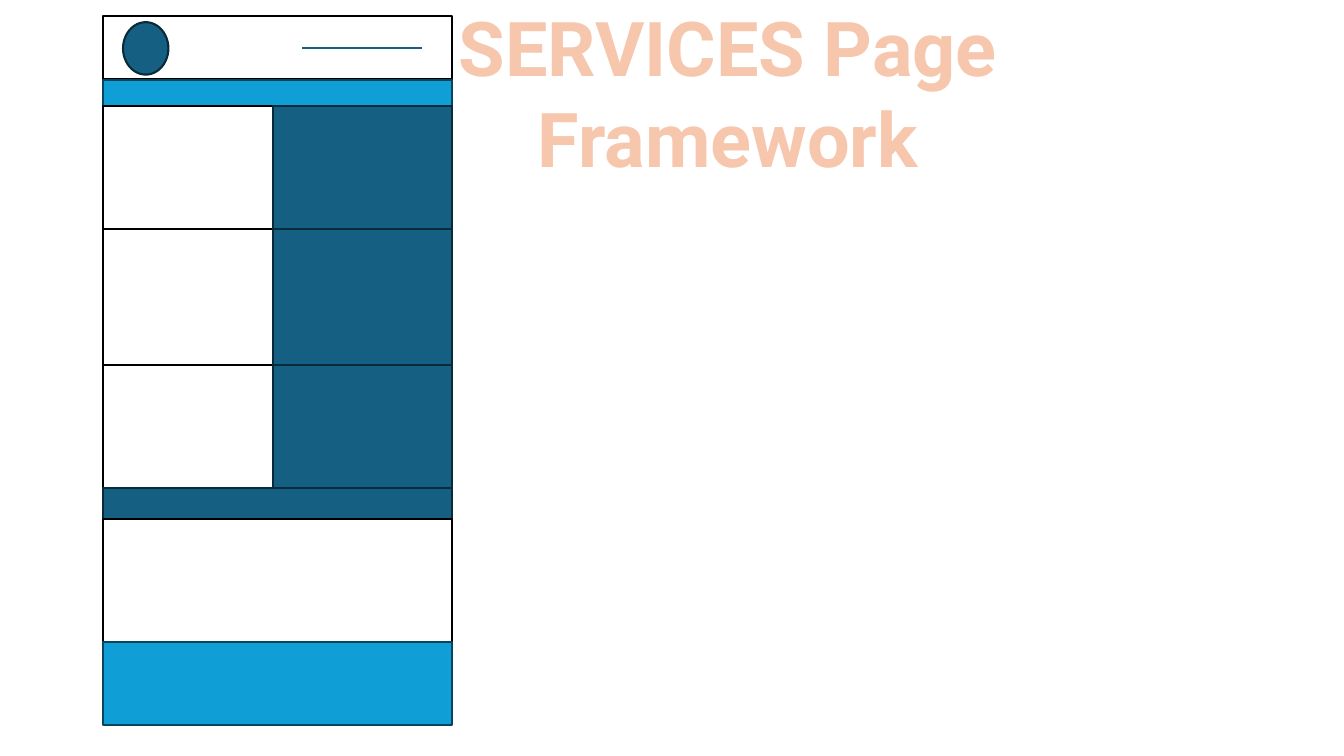
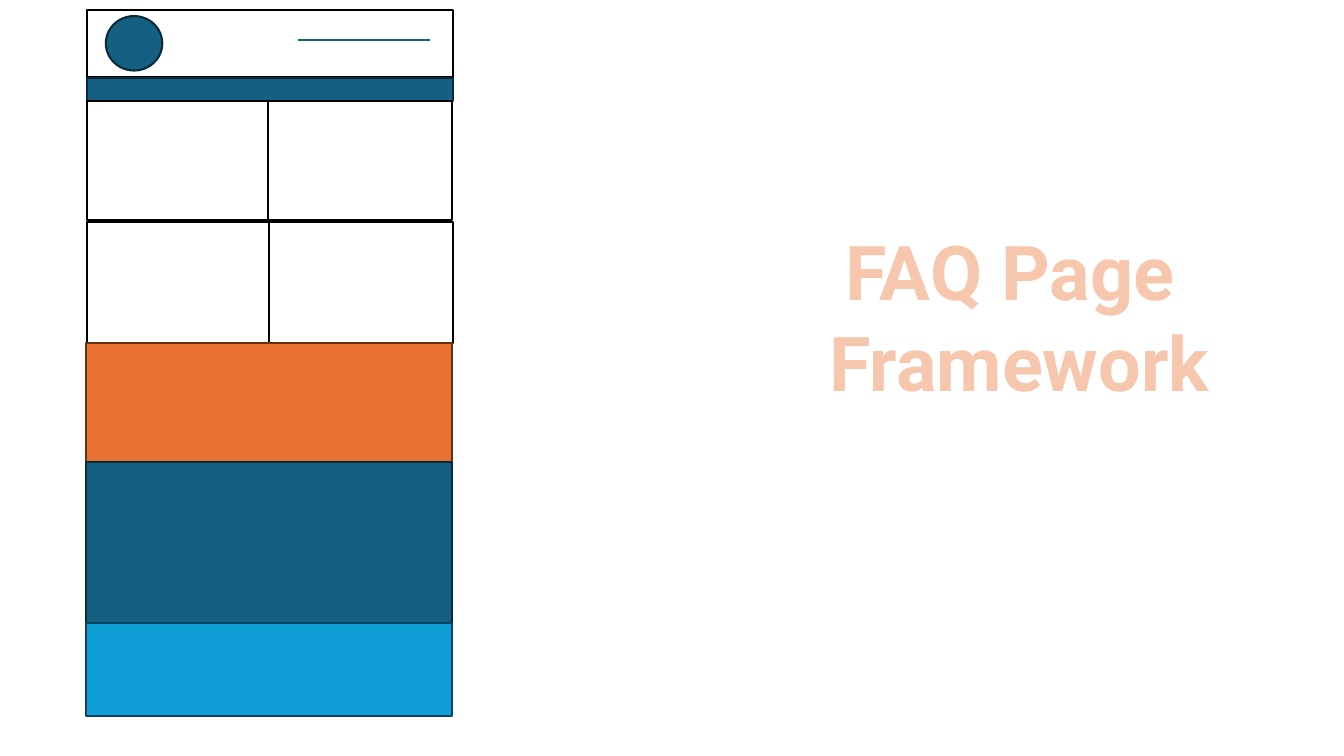
from dataclasses import dataclass

from lxml import etree
from pptx import Presentation
from pptx import util as u
from pptx.dml.color import RGBColor
from pptx.enum import shapes, text
from pptx.oxml.ns import qn


@dataclass(frozen=True)
class Theme:
    white: tuple = ("FFFFFF", "000000")
    teal: tuple = ("156082", "092A39")
    blue: tuple = ("0F9ED5", "07455D")
    orange: tuple = ("E97132", "663216")
    title_fill: str = "F6C6AD"
    title_edge: str = "E97132"
    title_edge_width: float = 1.75
    font: str = "Roboto"
    title_size: int = 54
    line_width: float = 1.5


theme = Theme()
deck = Presentation()
deck.slide_width, deck.slide_height = u.Inches(13.33), u.Inches(7.5)
column, row = deck.slide_width / 1333, deck.slide_height / 750


def add_block(page, kind, frame, style):
    left, top, width, height = frame
    block = page.shapes.add_shape(
        kind, round(left * column), round(top * row),
        round(width * column), round(height * row))
    block.shadow.inherit = False
    fill, edge = style
    block.fill.solid()
    block.fill.fore_color.rgb = RGBColor.from_string(fill)
    block.line.color.rgb = RGBColor.from_string(edge)
    block.line.width = u.Pt(theme.line_width)


def add_title(page, lines, frame):
    left, top, width, height = frame
    box = page.shapes.add_textbox(
        round(left * column), round(top * row),
        round(width * column), round(height * row))
    box.text_frame.word_wrap = False
    box.text_frame.auto_size = text.MSO_AUTO_SIZE.SHAPE_TO_FIT_TEXT
    for index, line in enumerate(lines):
        para = box.text_frame.add_paragraph() if index else box.text_frame.paragraphs[0]
        para.alignment = text.PP_ALIGN.CENTER
        span = para.add_run()
        span.text = line
        span.font.name = theme.font
        span.font.size = u.Pt(theme.title_size)
        span.font.bold = True
        span.font.color.rgb = RGBColor.from_string(theme.title_fill)
        outline = etree.Element(qn("a:ln"), w=str(u.Pt(theme.title_edge_width)))
        paint = etree.SubElement(outline, qn("a:solidFill"))
        etree.SubElement(paint, qn("a:srgbClr"), val=theme.title_edge)
        span.font._element.insert(0, outline)


white, teal, blue, orange = theme.white, theme.teal, theme.blue, theme.orange

# Each band: left edge, height, and its cells as (width, style).
pages = [
    {
        "title": ["SERVICES Page ", "Framework"],
        "title_frame": (440, -4, 564, 192),
        "top": 16,
        "bands": [
            (102, 63, [(346, white)]),
            (102, 26, [(346, blue)]),
            (102, 122, [(169, white), (177, teal)]),
            (102, 135, [(169, white), (177, teal)]),
            (102, 122, [(169, white), (177, teal)]),
            (102, 31, [(346, teal)]),
            (102, 122, [(346, white)]),
            (102, 82, [(346, blue)]),
        ],
        "logo": (122, 22, 45, 52),
        "menu": (300, 419, 48),
    },
    {
        "title": ["FAQ Page ", "Framework"],
        "title_frame": (808, 218, 406, 192),
        "top": 10,
        "bands": [
            (86, 67, [(363, white)]),
            (86, 23, [(363, teal)]),
            (86, 118, [(180, white), (182, white)]),
            (86, 2, []),
            (86, 120, [(181, white), (182, white)]),
            (85, 118, [(363, orange)]),
            (85, 160, [(363, teal)]),
            (85, 92, [(363, blue)]),
        ],
        "logo": (105, 16, 56, 54),
        "menu": (296, 427, 40),
    },
]

for plan in pages:
    page = deck.slides.add_slide(deck.slide_layouts[6])
    top = plan["top"]
    for left, height, cells in plan["bands"]:
        for width, style in cells:
            add_block(page, shapes.MSO_SHAPE.RECTANGLE, (left, top, width, height), style)
            left += width
        top += height
    add_block(page, shapes.MSO_SHAPE.OVAL, plan["logo"], teal)

    start, end, level = plan["menu"]
    menu = page.shapes.add_connector(
        shapes.MSO_CONNECTOR.STRAIGHT, round(start * column), round(level * row),
        round(end * column), round(level * row))
    menu.line.color.rgb = RGBColor.from_string(teal[0])
    menu.line.width = u.Pt(theme.line_width)
    etree.SubElement(menu._element.spPr, qn("a:effectLst"))

    add_title(page, plan["title"], plan["title_frame"])

deck.save("out.pptx")
